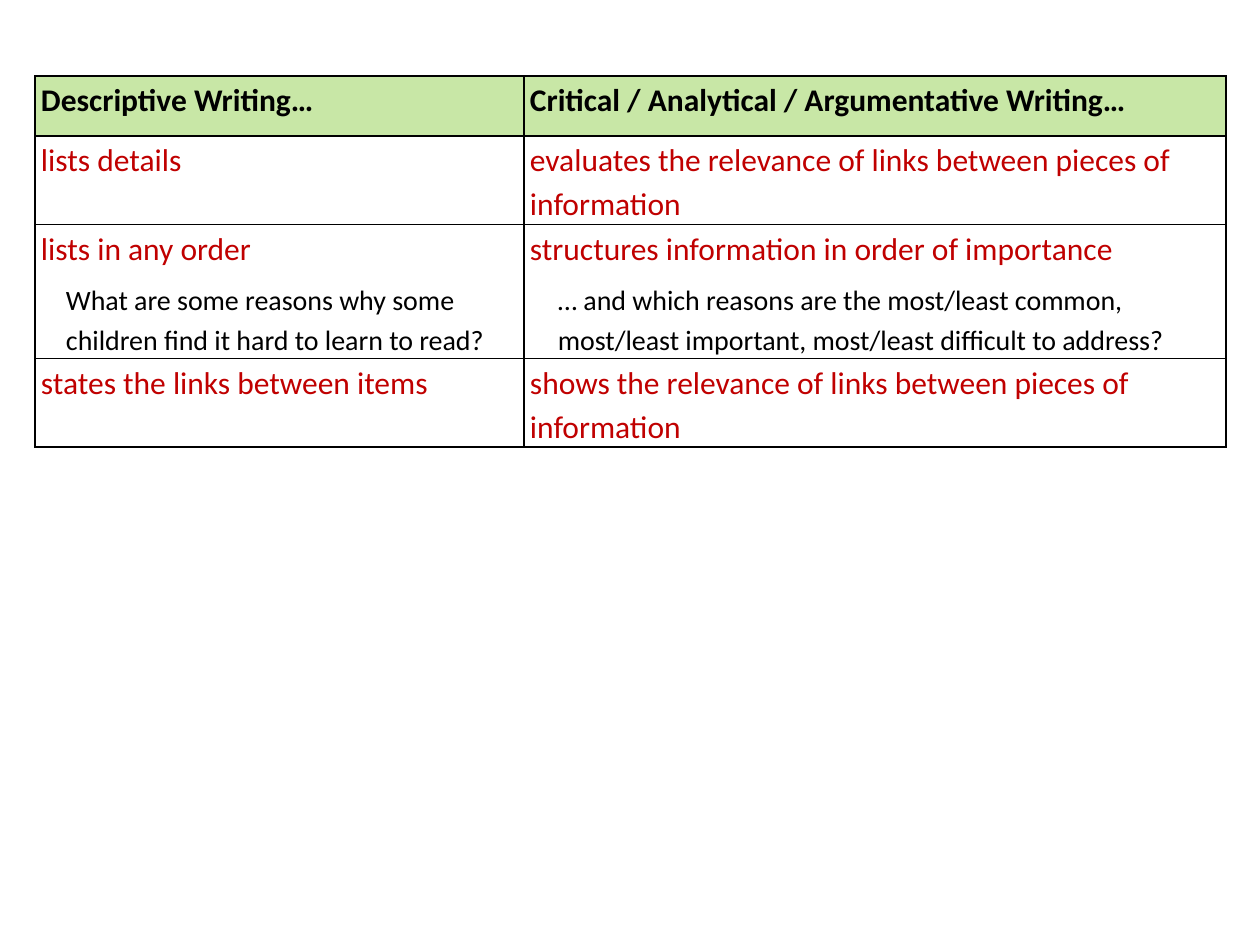
import pptx
import pptx.dml.color
import pptx.oxml
import pptx.oxml.ns
import pptx.util

PX = 914400 / 126
FONT = "Calibri"
BLACK, RED, GREEN, WHITE = "000000", "C00000", "C8E7A6", "FFFFFF"

HEADING = {"size": pptx.util.Pt(18), "bold": True, "color": BLACK}
POINT = {"size": pptx.util.Pt(18), "bold": False, "color": RED}
EXAMPLE = {"size": pptx.util.Pt(16), "bold": False, "color": BLACK}

COLUMN_WIDTHS = [489, 702]
ROW_HEIGHTS = [60, 88, 134, 88]
EXAMPLE_INDENTS = [25, 28]

# Each cell holds a heading or point, then any example
COMPARISON = [
    [["Descriptive Writing…"],
     ["Critical / Analytical / Argumentative Writing…"]],
    [["lists details"],
     ["evaluates the relevance of links between pieces of information"]],
    [["lists in any order",
      "What are some reasons why some children find it hard to learn to read?"],
     ["structures information in order of importance",
      "… and which reasons are the most/least common, most/least important, "
      "most/least difficult to address?"]],
    [["states the links between items"],
     ["shows the relevance of links between pieces of information"]],
]


def px(length):
    return pptx.util.Emu(round(length * PX))


def rgb(color):
    return pptx.dml.color.RGBColor.from_string(color)


def style_cell(cell, fill):
    margins = {"margin_left": px(6), "margin_right": px(6),
               "margin_top": 0, "margin_bottom": 0}
    for name, value in margins.items():
        setattr(cell, name, value)
    # Borders come before the fill in the cell properties
    properties = cell._tc.get_or_add_tcPr()
    for side in ("lnL", "lnR", "lnT", "lnB"):
        properties.append(pptx.oxml.parse_xml(
            f'<a:{side} {pptx.oxml.ns.nsdecls("a")} w="12700"><a:solidFill>'
            f'<a:srgbClr val="{BLACK}"/></a:solidFill></a:{side}>'))
    cell.fill.solid()
    cell.fill.fore_color.rgb = rgb(fill)


def write_paragraph(paragraph, text, look, space_before=0, indent=0):
    spacing = {"line_spacing": 1.15, "space_after": pptx.util.Pt(3),
               "space_before": pptx.util.Pt(space_before)}
    for name, value in spacing.items():
        setattr(paragraph, name, value)
    if indent:
        paragraph._p.get_or_add_pPr().set("marL", str(px(indent)))
    run = paragraph.add_run()
    run.text = text
    run.font.name = FONT
    for name in ("size", "bold"):
        setattr(run.font, name, look[name])
    run.font.color.rgb = rgb(look["color"])


def add_comparison(slide, left, top):
    table = slide.shapes.add_table(
        len(ROW_HEIGHTS), len(COLUMN_WIDTHS), px(left), px(top),
        px(sum(COLUMN_WIDTHS)), px(sum(ROW_HEIGHTS))).table
    table.first_row = table.horz_banding = False
    for column, width in zip(table.columns, COLUMN_WIDTHS):
        column.width = px(width)
    for row, height in zip(table.rows, ROW_HEIGHTS):
        row.height = px(height)

    for r, entries in enumerate(COMPARISON):
        for c, (main, *examples) in enumerate(entries):
            cell = table.cell(r, c)
            style_cell(cell, WHITE if r else GREEN)
            frame = cell.text_frame
            write_paragraph(frame.paragraphs[0], main, POINT if r else HEADING)
            for example in examples:
                write_paragraph(frame.add_paragraph(), example, EXAMPLE,
                                space_before=3, indent=EXAMPLE_INDENTS[c])


def main():
    deck = pptx.Presentation()
    deck.slide_width, deck.slide_height = px(1260), px(945)
    slide = deck.slides.add_slide(deck.slide_layouts[6])
    add_comparison(slide, 35, 76)
    deck.save("out.pptx")


if __name__ == "__main__":
    main()
